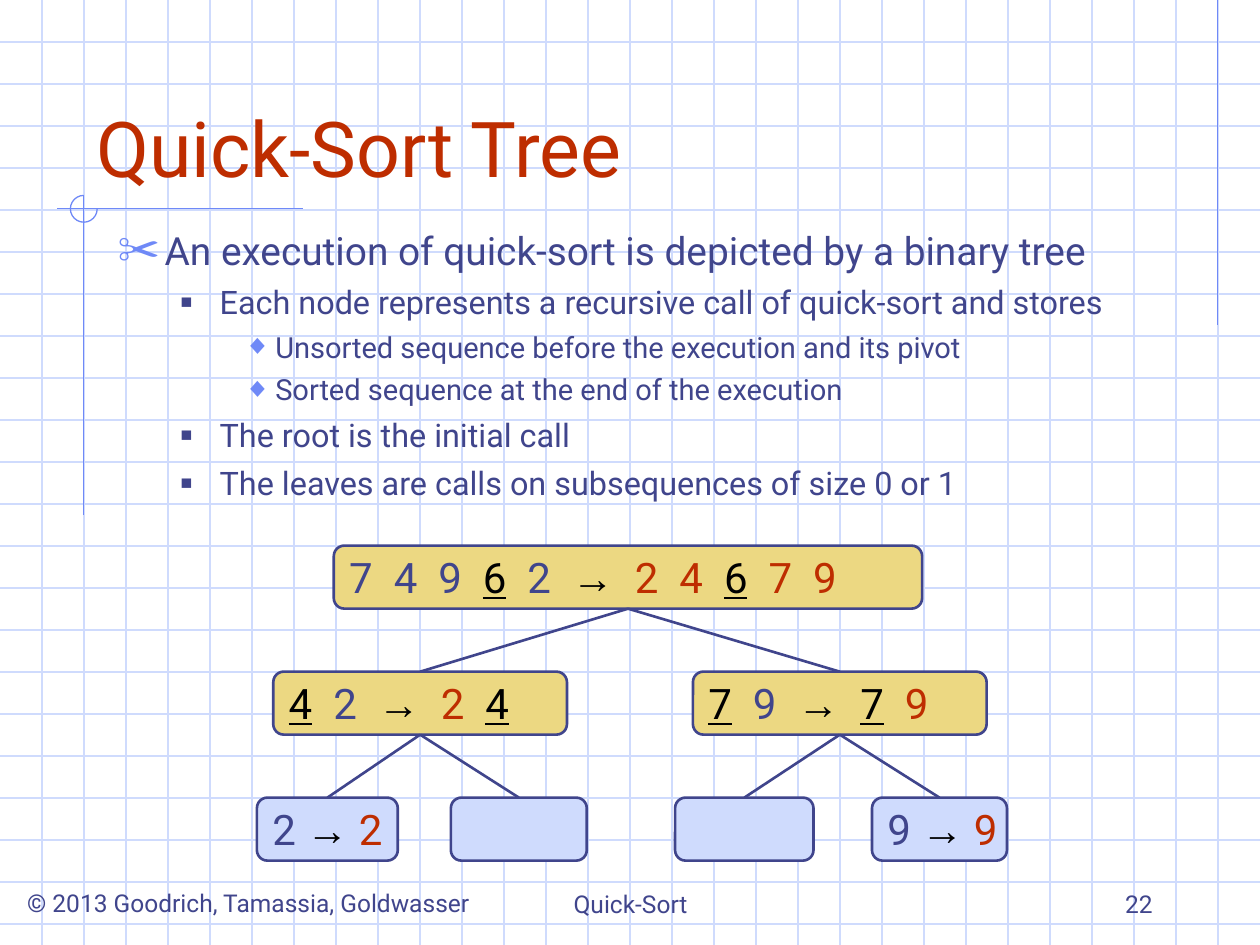
import pptx
import pptx.dml.color
import pptx.enum.shapes
import pptx.enum.text
import pptx.oxml
import pptx.oxml.ns
import pptx.util
from lxml import etree

Cm, Pt = pptx.util.Cm, pptx.util.Pt
RGBColor = pptx.dml.color.RGBColor
SHAPE = pptx.enum.shapes.MSO_SHAPE
ANCHOR = pptx.enum.text.MSO_ANCHOR
ALIGN = pptx.enum.text.PP_ALIGN
qn = pptx.oxml.ns.qn

INDIGO = RGBColor(0x40, 0x45, 0x8C)
BLUE = RGBColor(0x6F, 0x89, 0xF7)
PALE = RGBColor(0xCF, 0xDB, 0xFD)
RED = RGBColor(0xBE, 0x2D, 0x00)
GOLD = RGBColor(0xEC, 0xD8, 0x82)
BLACK = RGBColor(0x00, 0x00, 0x00)

WIDTH, HEIGHT = 25.4, 19.05
GRID = 2.54 / 3

# level: (size, left margin, hanging indent, space before, bullet, colour, bullet %)
LEVELS = [
    (22.2, 0.95, 0.95, 6, "✂", BLUE, 110),
    (18.5, 2.06, 0.79, 5, "■", INDIGO, 60),
    (16.6, 3.18, 0.64, 4.5, "◆", BLUE, 95),
]
BODY = [
    (0, "An execution of quick-sort is depicted by a binary tree"),
    (1, "Each node represents a recursive call of quick-sort and stores"),
    (2, "Unsorted sequence before the execution and its pivot"),
    (2, "Sorted sequence at the end of the execution"),
    (1, "The root is the initial call"),
    (1, "The leaves are calls on subsequences of size 0 or 1"),
]
# name: (depth, left, width, unsorted, sorted, pivot, parent)
NODES = {
    "root": (0, 6.73, 11.86, "74962", "24679", "6", None),
    "low": (1, 5.51, 5.92, "42", "24", "4", "root"),
    "high": (1, 13.97, 5.92, "79", "79", "7", "root"),
    "low left": (2, 5.18, 2.84, "2", "2", "", "low"),
    "low right": (2, 9.09, 2.74, "", "", "", "low"),
    "high left": (2, 13.61, 2.79, "", "", "", "high"),
    "high right": (2, 17.58, 2.72, "9", "9", "", "high"),
}


class Slide:
    font = "Roboto"
    symbol_font = "Arial"
    ink = INDIGO

    def __init__(self, s):
        self.s = s

    def style(self, font, color=None, **values):
        for key, value in {"name": self.font, **values}.items():
            setattr(font, key, value)
        font.color.rgb = color or self.ink

    def line(self, x1, y1, x2, y2, color, width=0.75):
        kind = pptx.enum.shapes.MSO_CONNECTOR.STRAIGHT
        c = self.s.shapes.add_connector(kind, Cm(x1), Cm(y1), Cm(x2), Cm(y2))
        c.line.color.rgb = color
        c.line.width = Pt(width)
        etree.SubElement(c._element.spPr, qn("a:effectLst"))
        return c

    def shape(self, kind, x, y, w, h, line, width, fill=None):
        sp = self.s.shapes.add_shape(kind, Cm(x), Cm(y), Cm(w), Cm(h))
        sp.shadow.inherit = False
        if fill is None:
            sp.fill.background()
        else:
            sp.fill.solid()
            sp.fill.fore_color.rgb = fill
        sp.line.color.rgb = line
        sp.line.width = Pt(width)
        return sp

    def text(self, x, y, w, h, text="", size=14, color=None, wrap=True,
             anchor=ANCHOR.BOTTOM, align=ALIGN.LEFT):
        tf = self.s.shapes.add_textbox(Cm(x), Cm(y), Cm(w), Cm(h)).text_frame
        tf.word_wrap = wrap
        tf.vertical_anchor = anchor
        p = tf.paragraphs[0]
        p.alignment = align
        if text:
            r = p.add_run()
            r.text = text
            self.style(r.font, color, size=Pt(size))
        return tf

    def bullet(self, p, level, text, first):
        size, margin, hanging, before, char, color, percent = LEVELS[level]
        pPr = p._p.get_or_add_pPr()
        pPr.set("marL", str(Cm(margin)))
        pPr.set("indent", str(-Cm(hanging)))
        clr = etree.SubElement(pPr, qn("a:buClr"))
        etree.SubElement(clr, qn("a:srgbClr"), val=str(color))
        etree.SubElement(pPr, qn("a:buSzPct"), val=str(percent * 1000))
        etree.SubElement(pPr, qn("a:buFont"), typeface=self.symbol_font)
        etree.SubElement(pPr, qn("a:buChar"), char=char)
        p.level = level
        p.space_before = Pt(0 if first else before)
        r = p.add_run()
        r.text = text
        self.style(r.font, size=Pt(size))

    def node(self, depth, x, w, unsorted, ordered, pivot):
        leaf = depth == 2
        sp = self.shape(SHAPE.ROUNDED_RECTANGLE, x, 11 + 2.54 * depth, w, 1.27,
                        INDIGO, 1.5, PALE if leaf else GOLD)
        if unsorted:
            tf = sp.text_frame
            tf.margin_right = 0
            tf.vertical_anchor = ANCHOR.MIDDLE
            p = tf.paragraphs[0]
            p.alignment = ALIGN.LEFT
            items = ([(d, INDIGO) for d in unsorted] + [("→", BLACK)]
                     + [(d, RED) for d in ordered])
            for i, (item, color) in enumerate(items):
                if i:
                    self.gap(p, 0 if leaf else 6)
                self.item(p, item, color, item == pivot)
        return sp

    def gap(self, p, extra):
        """Add one space, widened by extra points."""
        r = p.add_run()
        r.text = " "
        self.style(r.font, size=Pt(24))
        r._r.get_or_add_rPr().set("spc", str(extra * 100))

    def item(self, p, text, color, is_pivot):
        r = p.add_run()
        r.text = text
        self.style(r.font, BLACK if is_pivot else color, size=Pt(24), underline=is_pivot)
        if text == "→":
            self.style(r.font, color, name=self.symbol_font, bold=True)

    def edge(self, parent, child):
        c = self.line(0, 0, 1, 1, INDIGO, 1.5)
        c.begin_connect(parent, 2)
        c.end_connect(child, 0)


def draw_background(slide):
    for i in range(1, 23):
        slide.line(0, i * GRID, WIDTH, i * GRID, PALE)
    for i in range(1, 30):
        slide.line(i * GRID, 0, i * GRID, HEIGHT, PALE)
    slide.line(24.55, 0, 24.55, 6.55, BLUE)
    slide.line(6.1, 4.21, 1.14, 4.21, BLUE)
    slide.line(1.69, 3.94, 1.69, 10.39, BLUE)
    arc = slide.shape(SHAPE.ARC, 1.42, 3.94, 0.54, 0.54, BLUE, 0.75)
    arc.adjustments[0] = 0
    arc.adjustments[1] = 270 * 0.6  # clockwise to the top


def draw_text(slide):
    slide.text(0.08, 17.78, 9.86, 0.86, "© 2013 Goodrich, Tamassia, Goldwasser",
               wrap=False, anchor=ANCHOR.TOP, align=ALIGN.CENTER)
    slide.text(8.69, 17.36, 8.05, 1.27, "Quick-Sort", align=ALIGN.CENTER)
    slide.text(18.2, 17.36, 5.29, 1.27, "22", align=ALIGN.RIGHT)
    slide.text(1.69, 0.85, 21.59, 3.17, "Quick-Sort Tree", 44, RED)
    tf = slide.text(2.12, 4.45, 22.01, 6.35, anchor=ANCHOR.TOP)
    for i, (level, text) in enumerate(BODY):
        slide.bullet(tf.add_paragraph() if i else tf.paragraphs[0], level, text, i == 0)


def draw_tree(slide):
    nodes = {name: slide.node(*values) for name, (*values, _) in NODES.items()}
    for name, (*_, parent) in NODES.items():
        if parent:
            slide.edge(nodes[parent], nodes[name])


def main():
    prs = pptx.Presentation()
    prs.slide_width, prs.slide_height = Cm(WIDTH), Cm(HEIGHT)
    slide = Slide(prs.slides.add_slide(prs.slide_layouts[6]))
    draw_background(slide)
    draw_text(slide)
    draw_tree(slide)
    prs.save("out.pptx")


if __name__ == "__main__":
    main()
